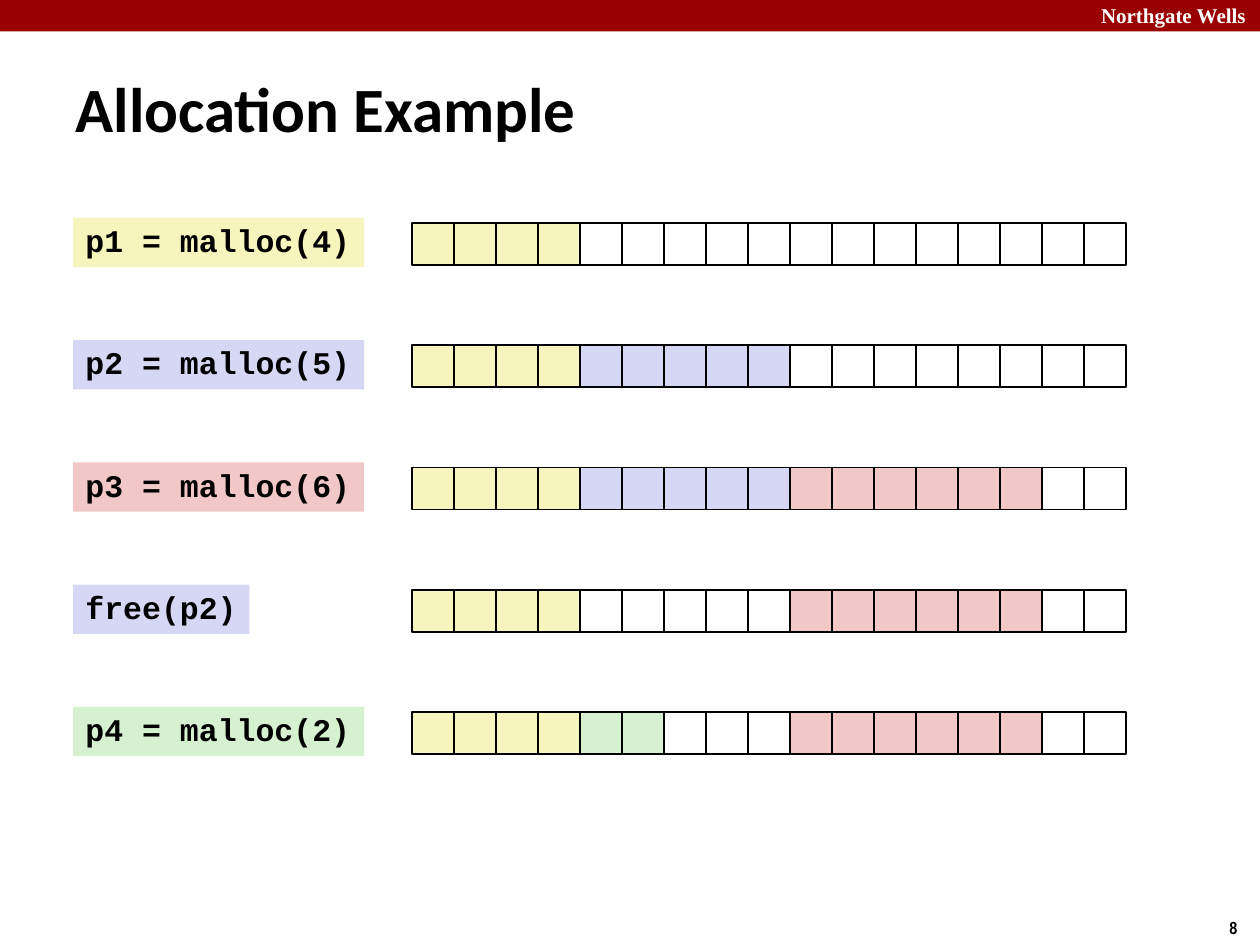
import pptx
import pptx.util
import pptx.dml.color
import pptx.enum.shapes
import pptx.enum.text

Inches = pptx.util.Inches
Pt = pptx.util.Pt
ANCHOR = pptx.enum.text.MSO_ANCHOR
FIT = pptx.enum.text.MSO_AUTO_SIZE
ALIGN = pptx.enum.text.PP_ALIGN

COLORS = {
    "bar": "990000", "black": "000000", "free": "FFFFFF",
    "p1": "F6F5BD", "p2": "D6D6F5", "p3": "F1C7C7", "p4": "D5F1CF",
}
FORMATS = {
    "header": {"name": "Times New Roman", "size": Pt(12), "bold": True},
    "number": {"name": "Arial Narrow", "size": Pt(10), "bold": True},
    "title": {"name": "Calibri", "size": Pt(36), "bold": True},
    "code": {"name": "Courier New", "size": Pt(18), "bold": True},
}
STEPS = [
    ("p1 = malloc(4)", 2.31, "p1", [("p1", 4), ("free", 13)]),
    ("p2 = malloc(5)", 2.31, "p2", [("p1", 4), ("p2", 5), ("free", 8)]),
    ("p3 = malloc(6)", 2.31, "p3", [("p1", 4), ("p2", 5), ("p3", 6), ("free", 2)]),
    ("free(p2)", 1.4, "p2", [("p1", 4), ("free", 5), ("p3", 6), ("free", 2)]),
    ("p4 = malloc(2)", 2.31, "p4",
     [("p1", 4), ("p4", 2), ("free", 3), ("p3", 6), ("free", 2)]),
]


def rgb(key):
    return pptx.dml.color.RGBColor.from_string(COLORS[key])


def add_rect(shapes, x, y, w, h, fill, line=None):
    sp = shapes.add_shape(pptx.enum.shapes.MSO_SHAPE.RECTANGLE,
                          Inches(x), Inches(y), Inches(w), Inches(h))
    sp.shadow.inherit = False
    sp.fill.solid()
    sp.fill.fore_color.rgb = rgb(fill)
    if line:
        sp.line.color.rgb = rgb(line)
        sp.line.width = Pt(1)
    else:
        sp.line.fill.background()
    return sp


def write(sp, text, style, color="black", wrap=False, anchor=ANCHOR.TOP):
    tf = sp.text_frame
    frame = {"word_wrap": wrap, "vertical_anchor": anchor, "auto_size": FIT.NONE}
    for key, value in frame.items():
        setattr(tf, key, value)
    p = tf.paragraphs[0]
    p.alignment = ALIGN.LEFT
    r = p.add_run()
    r.text = text
    for key, value in FORMATS[style].items():
        setattr(r.font, key, value)
    r.font.color.rgb = rgb(color)
    return p


def add_label(slide, x, y, w, h, text, style, color="black"):
    sp = slide.shapes.add_textbox(Inches(x), Inches(y), Inches(w), Inches(h))
    write(sp, text, style, color)


def add_frame(slide, x, y, w, h):
    add_rect(slide.shapes, x, y, w, 0.25, "bar")
    add_label(slide, x + w - 1.36, y - 0.03, 1.43, 0.3, "Northgate Wells", "header", "free")
    add_label(slide, x + w - 0.34, y + h - 0.27, 0.34, 0.27, "8", "number")


def add_title(slide, x, y, w, h, text):
    sp = slide.shapes.title
    sp.left, sp.top, sp.width, sp.height = map(Inches, (x, y, w, h))
    write(sp, text, "title", wrap=True, anchor=ANCHOR.MIDDLE)


def add_memory(slide, x, y, cell, blocks):
    group = slide.shapes.add_group_shape()
    fills = [key for key, count in blocks for _ in range(count)]
    for i, fill in enumerate(fills):
        add_rect(group.shapes, x + i * cell, y, cell, cell, fill, "black")


def add_step(slide, x, y, code, width, fill, blocks):
    add_memory(slide, x + 2.69, y + 0.04, 1 / 3, blocks)
    sp = add_rect(slide.shapes, x, y, width, 0.39, fill)
    write(sp, code, "code").line_spacing = 0.94


def build_slide(prs):
    slide = prs.slides.add_slide(prs.slide_layouts[5])
    add_frame(slide, 0, 0, 10, 7.5)
    add_title(slide, 0.5, 0.54, 7.07, 0.63, "Allocation Example")
    for i, step in enumerate(STEPS):
        add_step(slide, 0.58, 1.73 + 0.97 * i, *step)


prs = pptx.Presentation()
prs.slide_width, prs.slide_height = Inches(10), Inches(7.5)
build_slide(prs)
prs.save("out.pptx")
